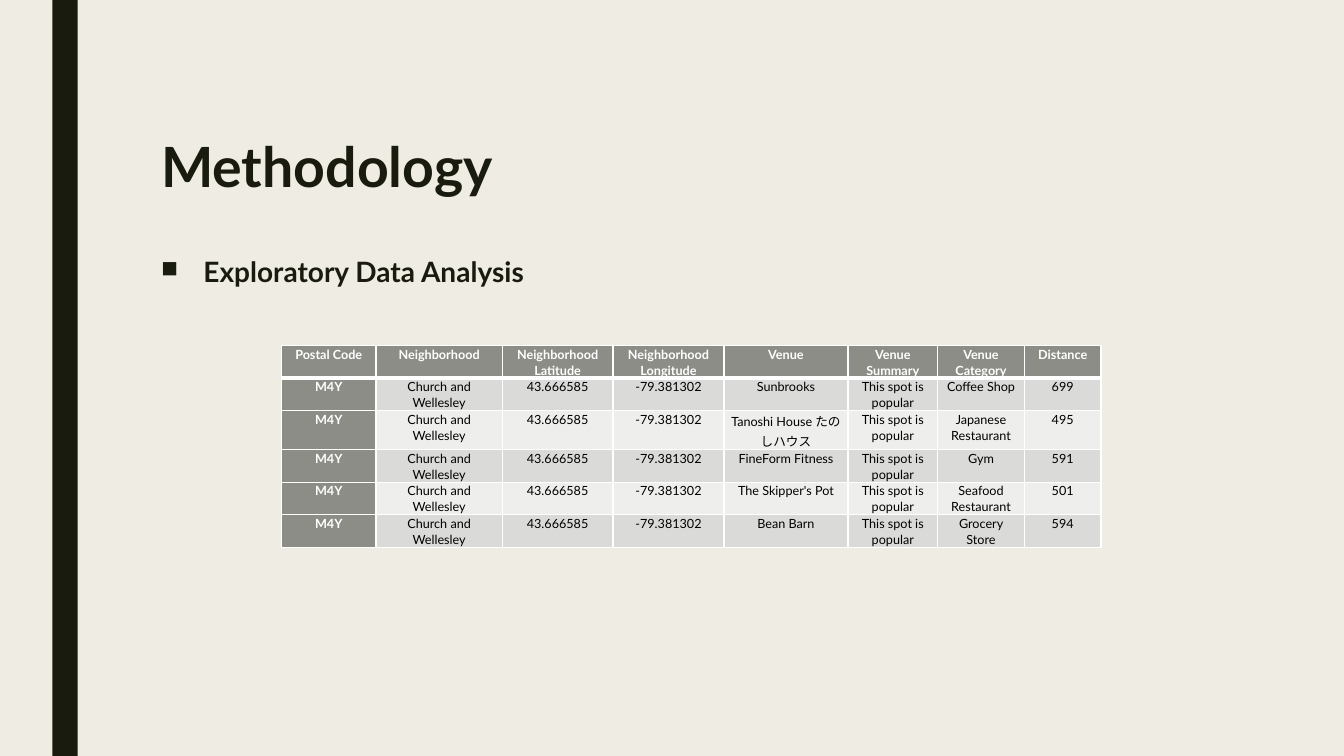
from lxml import etree
from pptx import Presentation
from pptx.dml.color import RGBColor
from pptx.enum.shapes import MSO_SHAPE
from pptx.enum.text import MSO_ANCHOR, PP_ALIGN
from pptx.oxml.ns import qn
from pptx.util import Inches, Pt

FONT = "Lato"
COLORS = {
    "background": "EFEDE3",
    "dark": "191B0E",
    "header": "8C8D86",
    "odd_row": "DADBD9",
    "even_row": "EEEEED",
    "white": "FFFFFF",
    "black": "000000",
}
COLUMN_WIDTHS = [0.94, 1.25, 1.1, 1.1, 1.23, 0.89, 0.86, 0.76]
ROW_HEIGHTS = [0.32, 0.32, 0.39, 0.32, 0.32, 0.32]  # Japanese text needs a taller row
HEADERS = ["Postal Code", "Neighborhood", "Neighborhood Latitude", "Neighborhood Longitude",
           "Venue", "Venue Summary", "Venue Category", "Distance"]
AREA = ["M4Y", "Church and Wellesley", "43.666585", "-79.381302"]
SUMMARY = "This spot is popular"
VENUES = [
    ("Sunbrooks", "Coffee Shop", "699"),
    ("Tanoshi House たのしハウス", "Japanese Restaurant", "495"),
    ("FineForm Fitness", "Gym", "591"),
    ("The Skipper's Pot", "Seafood Restaurant", "501"),
    ("Bean Barn", "Grocery Store", "594"),
]


def color(name):
    return RGBColor.from_string(COLORS[name])


def style_text(paragraph, size, color_name, bold, line_spacing):
    paragraph.line_spacing = line_spacing
    for run in paragraph.runs:
        run.font.name = FONT
        run.font.size = Pt(size)
        run.font.bold = bold
        run.font.color.rgb = color(color_name)


def add_side_bar(slide):
    bar = slide.shapes.add_shape(MSO_SHAPE.RECTANGLE, Inches(0.52), 0, Inches(0.25), Inches(7.5))
    bar.shadow.inherit = False
    bar.fill.solid()
    bar.fill.fore_color.rgb = color("dark")
    bar.line.fill.background()


def add_heading(slide, text, top, height, size, line_spacing):
    heading = slide.shapes.add_textbox(Inches(1.5), Inches(top), Inches(10.5), Inches(height))
    frame = heading.text_frame
    frame.word_wrap = True
    frame.text = text
    style_text(frame.paragraphs[0], size, "dark", True, line_spacing)
    return frame


def add_square_bullet(paragraph):
    properties = paragraph._p.get_or_add_pPr()
    properties.set("marL", str(Inches(0.42)))
    properties.set("indent", str(-Inches(0.42)))
    etree.SubElement(properties, qn("a:buSzPct"), val="82000")
    etree.SubElement(properties, qn("a:buChar"), char="■")


def add_borders(cell, bottom_width):
    """Draw white cell borders, placed ahead of the fill as the schema asks."""
    properties = cell._tc.get_or_add_tcPr()
    widths = {"a:lnL": 1, "a:lnR": 1, "a:lnT": 1, "a:lnB": bottom_width}
    for position, (tag, width) in enumerate(widths.items()):
        border = etree.Element(qn(tag), w=str(Pt(width)))
        fill = etree.SubElement(border, qn("a:solidFill"))
        etree.SubElement(fill, qn("a:srgbClr"), val=COLORS["white"])
        properties.insert(position, border)


def fill_cell(cell, text, fill_name, is_heading, bottom_width):
    cell.text_frame.text = text
    cell.margin_left = cell.margin_right = Inches(0.07)
    cell.margin_top = cell.margin_bottom = 0
    cell.fill.solid()
    cell.fill.fore_color.rgb = color(fill_name)
    paragraph = cell.text_frame.paragraphs[0]
    paragraph.alignment = PP_ALIGN.CENTER
    style_text(paragraph, 9, "white" if is_heading else "black", is_heading, 1.07)
    add_borders(cell, bottom_width)


def add_venue_table(slide):
    rows = [HEADERS] + [AREA + [venue, SUMMARY, category, distance]
                        for venue, category, distance in VENUES]
    table = slide.shapes.add_table(
        len(rows), len(HEADERS), Inches(2.79), Inches(3.43),
        Inches(sum(COLUMN_WIDTHS)), Inches(sum(ROW_HEIGHTS))).table
    for column, width in zip(table.columns, COLUMN_WIDTHS):
        column.width = Inches(width)
    for table_row, height in zip(table.rows, ROW_HEIGHTS):
        table_row.height = Inches(height)
    for row_index, row in enumerate(rows):
        band = "odd_row" if row_index % 2 else "even_row"
        for column_index, text in enumerate(row):
            is_heading = row_index == 0 or column_index == 0
            fill_cell(table.cell(row_index, column_index), text,
                      "header" if is_heading else band, is_heading,
                      3 if row_index == 0 else 1)


def main():
    presentation = Presentation()
    presentation.slide_width = Inches(13.33)
    presentation.slide_height = Inches(7.5)
    slide = presentation.slides.add_slide(presentation.slide_layouts[6])
    slide.background.fill.solid()
    slide.background.fill.fore_color.rgb = color("background")

    add_side_bar(slide)
    title = add_heading(slide, "Methodology", 0.75, 1.62, 39.6, 0.89)
    title.vertical_anchor = MSO_ANCHOR.BOTTOM
    title.margin_bottom = Inches(0.39)

    topic = add_heading(slide, "Exploratory Data Analysis", 2.5, 1.13, 20, 0.94).paragraphs[0]
    topic.space_before = Pt(10)
    topic.space_after = Pt(2)
    add_square_bullet(topic)
    add_venue_table(slide)
    presentation.save("out.pptx")


if __name__ == "__main__":
    main()
